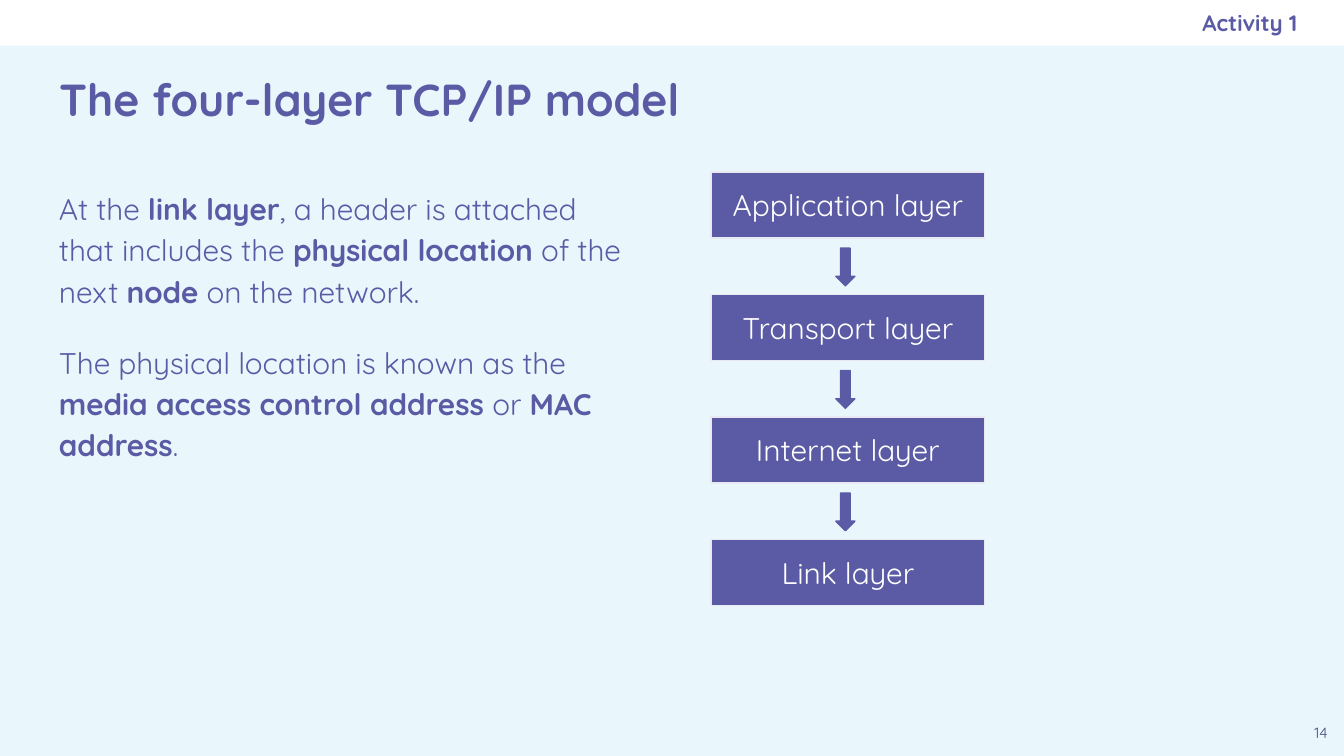
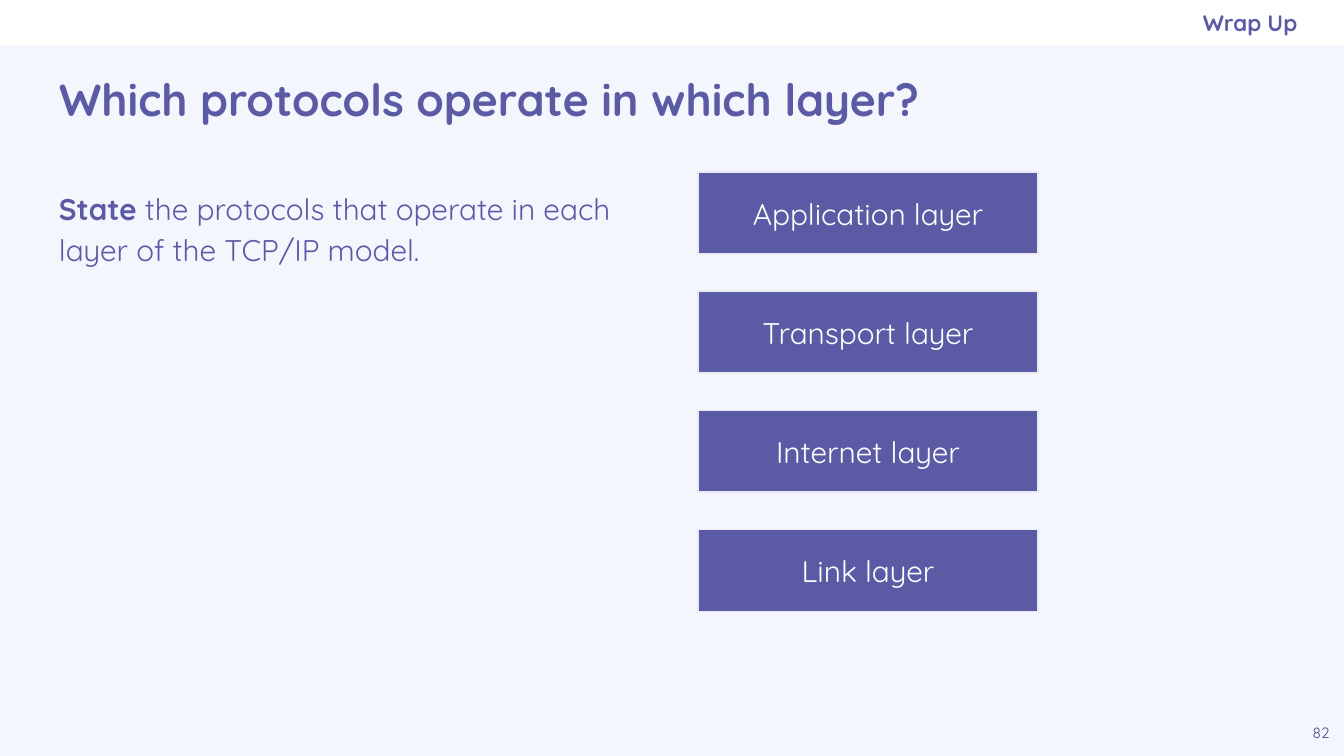
from dataclasses import dataclass

from pptx import Presentation
from pptx.dml.color import RGBColor
from pptx.enum.shapes import MSO_SHAPE
from pptx.enum.text import MSO_ANCHOR, MSO_AUTO_SIZE, PP_ALIGN
from pptx.util import Pt

LEFT, CENTER, RIGHT = PP_ALIGN.LEFT, PP_ALIGN.CENTER, PP_ALIGN.RIGHT
TOP, MIDDLE = MSO_ANCHOR.TOP, MSO_ANCHOR.MIDDLE
NO_AUTOFIT = MSO_AUTO_SIZE.NONE
RECTANGLE, DOWN_ARROW = MSO_SHAPE.RECTANGLE, MSO_SHAPE.DOWN_ARROW
TITLE_ONLY = 5


@dataclass(frozen=True)
class Theme:
    font: str = "Quicksand"
    purple: RGBColor = RGBColor.from_string("5B5BA5")
    dark_purple: RGBColor = RGBColor.from_string("494985")
    outline: RGBColor = RGBColor.from_string("E9E9F3")
    white: RGBColor = RGBColor.from_string("FFFFFF")
    title_size: int = 24
    body_size: int = 16
    section_size: int = 12
    number_size: int = 8


THEME = Theme()
WIDTH, HEIGHT = 720, 405
BAND_HEIGHT = 24.5
MARGIN = 24.5
INSET = 7.2
LAYERS = ["Application layer", "Transport layer", "Internet layer", "Link layer"]

# Body text marks its bold words with double asterisks.
PAGES = [
    {
        "section": "Activity 1",
        "title": "The four-layer TCP/IP model",
        "number": "14",
        "background": "E9F7FC",
        "body": [
            "At the **link layer**, a header is attached that includes the "
            "**physical location** of the next **node** on the network.",
            "The physical location is known as the "
            "**media access control address** or **MAC address**.",
        ],
        "stack": {"left": 381, "width": 146.5, "height": 35.3, "pitch": 65.6},
        "arrows": True,
    },
    {
        "section": "Wrap Up",
        "title": "Which protocols operate in which layer?",
        "number": "82",
        "background": "F3F6FC",
        "body": ["**State** the protocols that operate in each layer of the TCP/IP model."],
        "stack": {"left": 374, "width": 182, "height": 43.9, "pitch": 63.8},
        "arrows": False,
    },
]
STACK_TOP = 92.2
ARROW_LEFT, ARROW_WIDTH, ARROW_HEIGHT = 447.8, 10.2, 20.2
ARROW_GAP = 5.4


def write(box, paragraphs, size, color, align=LEFT, anchor=MIDDLE, bold=False, spacing=1.0):
    """Fill a box with paragraphs, switching weight at each double asterisk."""
    frame = box.text_frame
    frame.word_wrap = True
    frame.auto_size = NO_AUTOFIT
    frame.vertical_anchor = anchor
    frame.margin_left = frame.margin_right = Pt(INSET)
    frame.margin_top = frame.margin_bottom = Pt(INSET)
    for index, text in enumerate(paragraphs):
        para = frame.add_paragraph() if index else frame.paragraphs[0]
        para.alignment = align
        para.line_spacing = spacing
        para.space_before = Pt(THEME.body_size if index else 0)
        for position, words in enumerate(text.split("**")):
            if not words:
                continue
            span = para.add_run()
            span.text = words
            span.font.name = THEME.font
            span.font.size = Pt(size)
            span.font.bold = bold or position % 2 == 1
            span.font.color.rgb = color


def add_filled_shape(page, kind, left, top, width, height, fill, line=None):
    shape = page.shapes.add_shape(kind, Pt(left), Pt(top), Pt(width), Pt(height))
    shape.shadow.inherit = False
    shape.fill.solid()
    shape.fill.fore_color.rgb = fill
    if line is None:
        shape.line.fill.background()
    else:
        shape.line.color.rgb = line
        shape.line.width = Pt(0.75)
    return shape


deck = Presentation()
deck.slide_width, deck.slide_height = Pt(WIDTH), Pt(HEIGHT)

for content in PAGES:
    page = deck.slides.add_slide(deck.slide_layouts[TITLE_ONLY])
    page.background.fill.solid()
    page.background.fill.fore_color.rgb = RGBColor.from_string(content["background"])
    add_filled_shape(page, RECTANGLE, 0, 0, WIDTH, BAND_HEIGHT, THEME.white)

    title = page.shapes.title
    title.left, title.top = Pt(MARGIN), Pt(25.5)
    title.width, title.height = Pt(WIDTH - 2 * MARGIN), Pt(54.5)
    write(title, [content["title"]], THEME.title_size, THEME.purple, bold=True)

    body = page.shapes.add_textbox(Pt(MARGIN), Pt(STACK_TOP), Pt(322.5), Pt(288))
    write(body, content["body"], THEME.body_size, THEME.purple, anchor=TOP, spacing=1.15)

    section = page.shapes.add_textbox(Pt(414), 0, Pt(281), Pt(BAND_HEIGHT))
    write(section, [content["section"]], THEME.section_size, THEME.purple, RIGHT, bold=True)
    section.text_frame.margin_right = 0

    number = page.shapes.add_textbox(
        Pt(WIDTH - MARGIN), Pt(HEIGHT - MARGIN), Pt(MARGIN), Pt(MARGIN)
    )
    write(number, [content["number"]], THEME.number_size, THEME.dark_purple, CENTER, TOP)

    stack = content["stack"]
    for index, layer in enumerate(LAYERS):
        top = STACK_TOP + index * stack["pitch"]
        box = add_filled_shape(
            page, RECTANGLE, stack["left"], top, stack["width"], stack["height"],
            THEME.purple, THEME.outline,
        )
        write(box, [layer], THEME.body_size, THEME.white, CENTER)
        if content["arrows"] and index < len(LAYERS) - 1:
            add_filled_shape(
                page, DOWN_ARROW, ARROW_LEFT, top + stack["height"] + ARROW_GAP,
                ARROW_WIDTH, ARROW_HEIGHT, THEME.purple, THEME.purple,
            )

deck.save("out.pptx")
